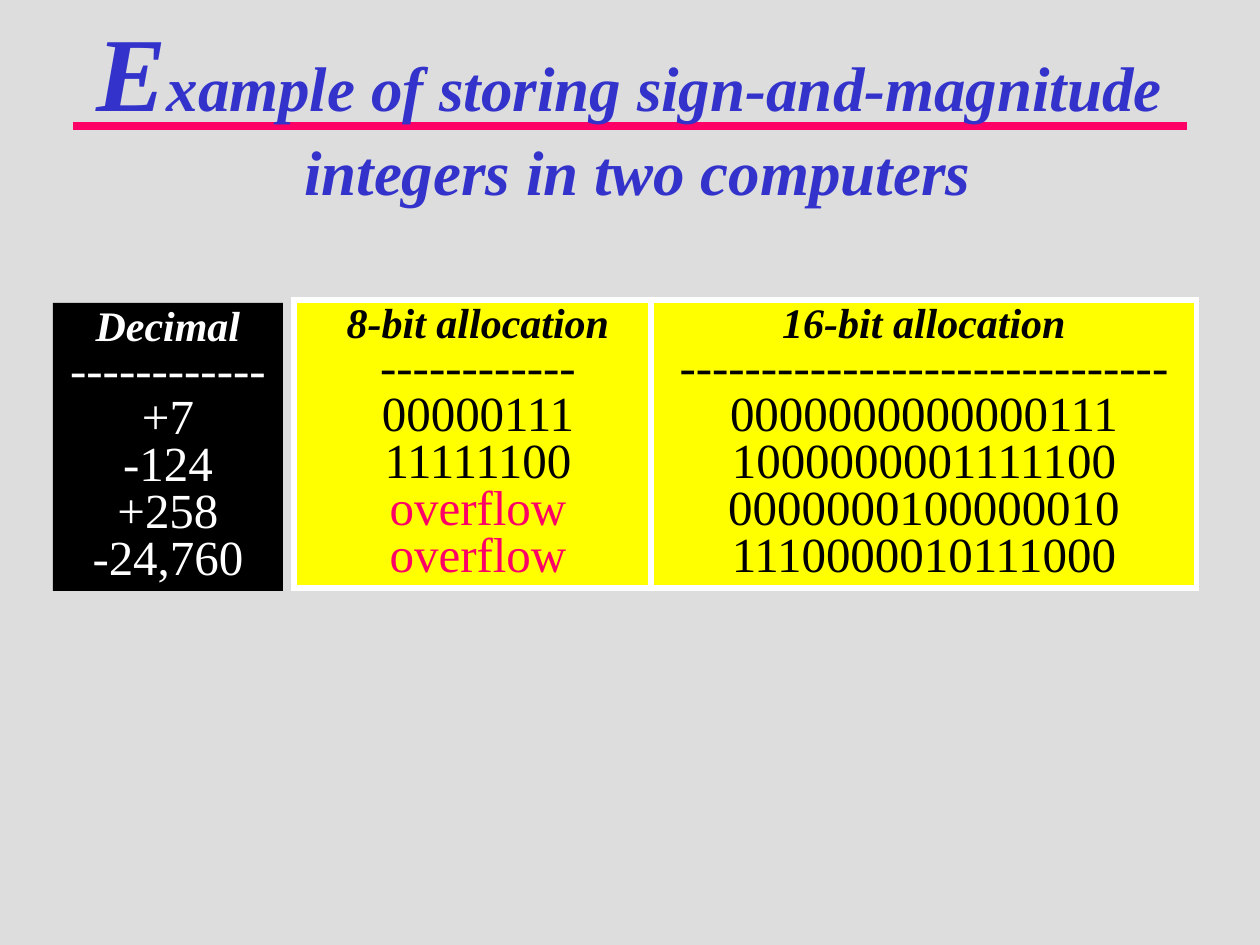
"""Build a slide comparing sign-and-magnitude storage in two computers."""
import pptx
import pptx.dml.color
import pptx.enum.shapes
import pptx.enum.text
import pptx.oxml
import pptx.util

PX = 914400 // 126
NAMESPACE = 'xmlns:a="http://schemas.openxmlformats.org/drawingml/2006/main"'
THEME = {
    "font": "Times New Roman",
    "background": "DDDDDD", "title": "3333CC", "accent": "FF0066",
    "black": "000000", "white": "FFFFFF", "yellow": "FFFF00",
    "initial_size": 60, "title_size": 36, "heading_size": 24, "value_size": 28,
    "rule_width": 4.5, "border_width": 3,
}


def color(name):
    return pptx.dml.color.RGBColor.from_string(THEME[name])


def add_run(paragraph, text, size, color_name, emphasis=False):
    run = paragraph.add_run()
    run.text = text
    run.font.name = THEME["font"]
    run.font.size = pptx.util.Pt(THEME[size])
    run.font.bold = run.font.italic = emphasis
    run.font.color.rgb = color(color_name)


presentation = pptx.Presentation()
presentation.slide_width = 1260 * PX
presentation.slide_height = 945 * PX
slide = presentation.slides.add_slide(presentation.slide_layouts[5])
slide.background.fill.solid()
slide.background.fill.fore_color.rgb = color("background")

rule = slide.shapes.add_connector(
    pptx.enum.shapes.MSO_CONNECTOR.STRAIGHT, 73 * PX, 126 * PX, 1187 * PX, 126 * PX)
rule.line.color.rgb = color("accent")
rule.line.width = pptx.util.Pt(THEME["rule_width"])
rule._element.spPr.append(pptx.oxml.parse_xml(f"<a:effectLst {NAMESPACE}/>"))
slide.shapes._spTree.insert(2, rule._element)

title = slide.shapes.title
title.left, title.top, title.width, title.height = 84 * PX, 0, 1091 * PX, 214 * PX
frame = title.text_frame
frame.auto_size = pptx.enum.text.MSO_AUTO_SIZE.NONE
frame.vertical_anchor = pptx.enum.text.MSO_ANCHOR.TOP
frame.word_wrap = False
frame.margin_left = frame.margin_right = 0
frame.margin_top = 6 * PX
first_line = frame.paragraphs[0]
add_run(first_line, "E", "initial_size", "title", True)
add_run(first_line, "xample of storing sign-and-magnitude", "title_size", "title", True)
second_line = frame.add_paragraph()
second_line._p.get_or_add_pPr().set("marL", str(16 * PX))
add_run(second_line, "integers in two computers", "title_size", "title", True)
for paragraph in frame.paragraphs:
    paragraph.alignment = pptx.enum.text.PP_ALIGN.CENTER

columns = [
    (53, 303, 230, "black", "white", "Decimal", 12,
     ["+7", "-124", "+258", "-24,760"]),
    (294, 300, 368, "yellow", "black", "8-bit allocation", 12,
     ["00000111", "11111100", "overflow", "overflow"]),
    (651, 300, 546, "yellow", "black", "16-bit allocation", 30,
     ["0000000000000111", "1000000001111100", "0000000100000010", "1110000010111000"]),
]
for left, top, width, fill, text_color, heading, dash_count, values in columns:
    column = slide.shapes.add_shape(
        pptx.enum.shapes.MSO_SHAPE.RECTANGLE, left * PX, top * PX, width * PX, 288 * PX)
    column.shadow.inherit = False
    column.fill.solid()
    column.fill.fore_color.rgb = color(fill)
    if fill == "yellow":
        column.line.color.rgb = color("white")
        column.line.width = pptx.util.Pt(THEME["border_width"])
        column._element.spPr.ln.append(
            pptx.oxml.parse_xml(f'<a:miter {NAMESPACE} lim="800000"/>'))
    else:
        column.line.fill.background()
    frame = column.text_frame
    frame.word_wrap = True
    frame.vertical_anchor = pptx.enum.text.MSO_ANCHOR.TOP
    add_run(frame.paragraphs[0], heading, "heading_size", text_color, True)
    for value in ["-" * dash_count] + values:
        value_color = "accent" if value == "overflow" else text_color
        add_run(frame.add_paragraph(), value, "value_size", value_color)
    for paragraph in frame.paragraphs:
        paragraph.alignment = pptx.enum.text.PP_ALIGN.CENTER
        paragraph.line_spacing = 0.8

presentation.save("out.pptx")
